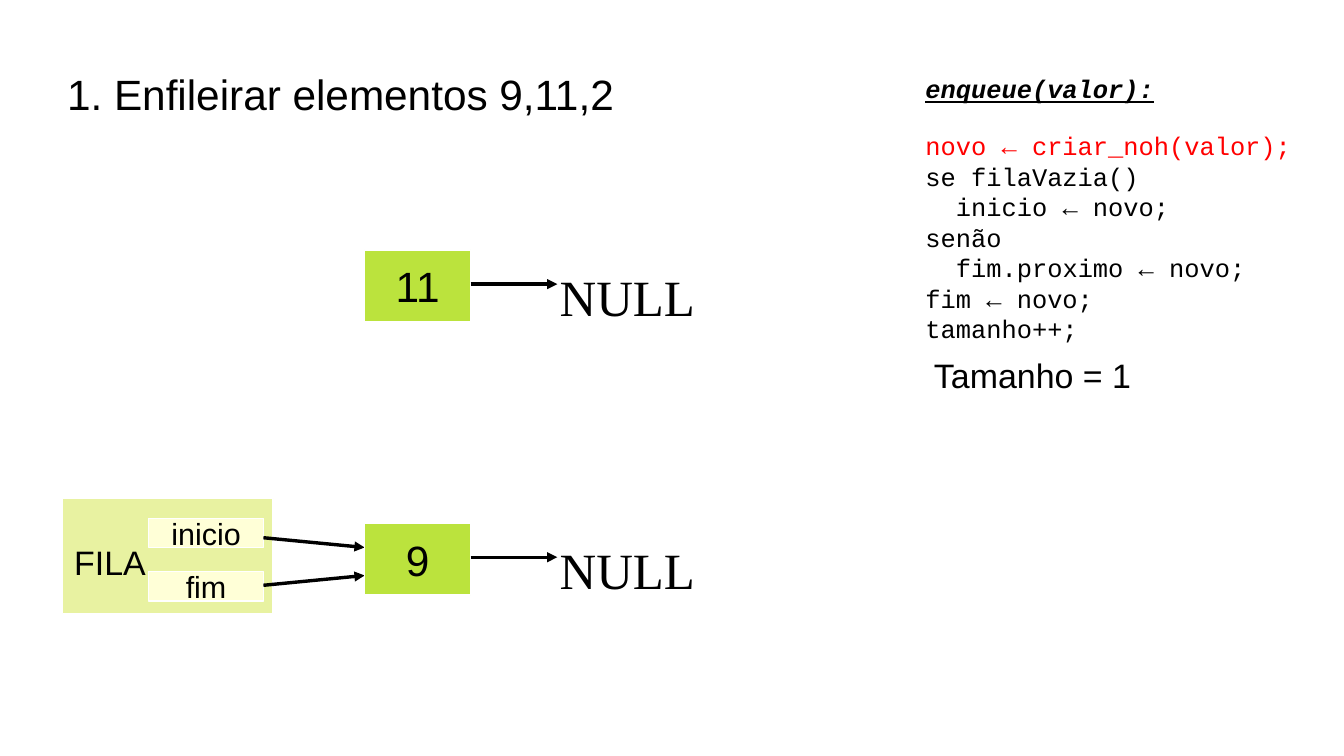
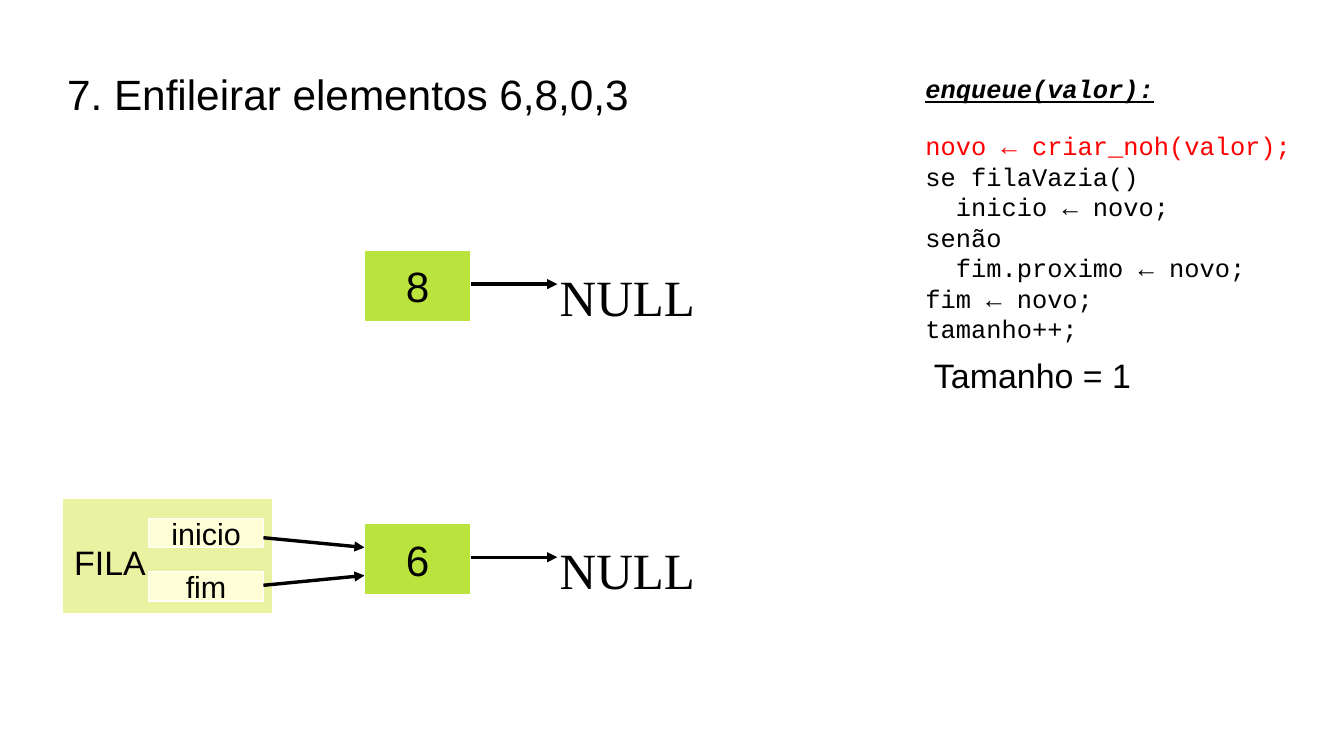
"""Builds two slides that show how values enter a linked queue."""
from dataclasses import dataclass

from lxml.etree import SubElement
from pptx import Presentation
from pptx.dml.color import RGBColor
from pptx.enum.shapes import MSO_CONNECTOR as Link, MSO_SHAPE as Preset
from pptx.enum.text import MSO_ANCHOR as Anchor, MSO_AUTO_SIZE as Fit, PP_ALIGN as Align
from pptx.oxml.ns import qn
from pptx.util import Inches, Pt

STEPS = [
    {"title": "1. Enfileirar elementos 9,11,2", "queued": "9", "new": "11"},
    {"title": "7. Enfileirar elementos 6,8,0,3", "queued": "6", "new": "8"},
]
SIZE_NOTE = "Tamanho = 1"
QUEUE_NAME = "FILA"
END_MARK = "NULL"
SIGNATURE = "enqueue(valor):"
CURRENT_LINE = "novo ← criar_noh(valor);"
CODE = [
    (0, "se filaVazia()"),
    (1, "inicio ← novo;"),
    (0, "senão"),
    (1, "fim.proximo ← novo;"),
    (0, "fim ← novo;"),
    (0, "tamanho++;"),
]
POINTERS = [
    {"name": "inicio", "top": 4.25, "leaves": 4.41, "arrives": 4.49},
    {"name": "fim", "top": 4.69, "leaves": 4.8, "arrives": 4.72},
]


@dataclass(frozen=True)
class Theme:
    """Colours, fonts and type sizes."""
    ink: str = "000000"
    accent: str = "FF0000"
    edge: str = "FFFFFF"
    queue: str = "E8F2A1"
    pointer: str = "FFFFD7"
    node: str = "BBE33D"
    sans: str = "Arial"
    mono: str = "Courier New"
    serif: str = "Times New Roman"
    title_size: int = 25
    mark_size: int = 30
    label_size: int = 20
    pointer_size: int = 18
    code_size: int = 15
    code_pitch: int = 18
    code_gap: int = 16
    code_indent: float = 0.25


THEME = Theme()
NODE_LEFT, NODE_WIDTH, NODE_HEIGHT = 2.99, 0.87, 0.59
NEW_TOP, QUEUED_TOP = 2.05, 4.29
POINTER_LEFT, POINTER_WIDTH, POINTER_HEIGHT = 1.22, 0.94, 0.24
MARK_LEFT, MARK_DROP = 4.49, 0.08
NEXT_END, NEXT_DROP = 4.57, 0.28


def write(paragraph, text, size=THEME.label_size, font=THEME.sans, color=THEME.ink,
          align=Align.LEFT, strong=False, pitch=None, after=0, indent=0):
    """Write one formatted paragraph."""
    run = paragraph.add_run()
    run.text = text
    run.font.size, run.font.name = Pt(size), font
    run.font.color.rgb = RGBColor.from_string(color)
    run.font.bold = run.font.italic = run.font.underline = strong
    paragraph.alignment, paragraph.space_after = align, Pt(after)
    if pitch:
        paragraph.line_spacing = Pt(pitch)
    if indent:
        paragraph._p.get_or_add_pPr().set("marL", str(Inches(indent)))


def add_text(slide, left, top, width, height):
    """Add a wrapping text box and return its frame."""
    frame = slide.shapes.add_textbox(*map(Inches, (left, top, width, height))).text_frame
    frame.word_wrap = True
    return frame


def add_box(slide, left, top, width, height, fill, text=None, **style):
    """Add a filled rectangle with an optional centred label."""
    box = slide.shapes.add_shape(Preset.RECTANGLE, *map(Inches, (left, top, width, height)))
    box.shadow.inherit = False
    box.fill.solid()
    box.fill.fore_color.rgb = RGBColor.from_string(fill)
    box.line.color.rgb = RGBColor.from_string(THEME.edge)
    box.line.width = Pt(0)
    if text:
        box.text_frame.word_wrap = False
        box.text_frame.vertical_anchor = Anchor.MIDDLE
        write(box.text_frame.paragraphs[0], text, align=Align.CENTER, **style)


def add_arrow(slide, x1, y1, x2, y2):
    """Add a hairline arrow."""
    arrow = slide.shapes.add_connector(Link.STRAIGHT, *map(Inches, (x1, y1, x2, y2)))
    arrow.line.color.rgb = RGBColor.from_string(THEME.ink)
    arrow.line.width = Pt(0)
    SubElement(arrow.line._get_or_add_ln(), qn("a:tailEnd"), type="triangle")
    SubElement(arrow._element.spPr, qn("a:effectLst"))


def add_title(slide, text):
    """Place and fill the title."""
    title = slide.shapes.title
    title.left, title.top, title.width, title.height = map(Inches, (0.55, 0.25, 9.92, 1.04))
    frame = title.text_frame
    frame.margin_left = frame.margin_right = frame.margin_top = frame.margin_bottom = 0
    frame.vertical_anchor, frame.auto_size = Anchor.MIDDLE, Fit.NONE
    write(frame.paragraphs[0], text, size=THEME.title_size)


def add_code(slide):
    """Add the routine with its current line highlighted."""
    style = {"size": THEME.code_size, "font": THEME.mono, "pitch": THEME.code_pitch}
    frame = add_text(slide, 7.49, 0.55, 3.26, 2.32)
    write(frame.paragraphs[0], SIGNATURE, strong=True, after=THEME.code_gap, **style)
    write(frame.add_paragraph(), CURRENT_LINE, color=THEME.accent, **style)
    for level, line in CODE:
        write(frame.add_paragraph(), line, indent=level * THEME.code_indent, **style)


def add_queue(slide):
    """Add the queue with its two pointers."""
    add_box(slide, 0.51, 4.09, 1.73, 0.94, THEME.queue)
    for pointer in POINTERS:
        add_box(slide, POINTER_LEFT, pointer["top"], POINTER_WIDTH, POINTER_HEIGHT,
                THEME.pointer, pointer["name"], size=THEME.pointer_size)
        add_arrow(slide, POINTER_LEFT + POINTER_WIDTH, pointer["leaves"],
                  NODE_LEFT, pointer["arrives"])
    write(add_text(slide, 0.51, 4.39, 0.85, 0.41).paragraphs[0], QUEUE_NAME)


def add_node(slide, value, top):
    """Add a node whose next link ends in the end mark."""
    add_box(slide, NODE_LEFT, top, NODE_WIDTH, NODE_HEIGHT, THEME.node, value,
            size=THEME.title_size)
    mark = add_text(slide, MARK_LEFT, top + MARK_DROP, 1.34, 0.52)
    write(mark.paragraphs[0], END_MARK, size=THEME.mark_size, font=THEME.serif)
    add_arrow(slide, NODE_LEFT + NODE_WIDTH, top + NEXT_DROP, NEXT_END, top + NEXT_DROP)


def build():
    """Build and save the slides."""
    deck = Presentation()
    deck.slide_width, deck.slide_height = Inches(11.02), Inches(6.2)
    title_only = deck.slide_layouts.get_by_name("Title Only")
    for step in STEPS:
        slide = deck.slides.add_slide(title_only)
        add_title(slide, step["title"])
        add_queue(slide)
        add_code(slide)
        write(add_text(slide, 7.56, 2.86, 1.89, 0.41).paragraphs[0], SIZE_NOTE)
        add_node(slide, step["queued"], QUEUED_TOP)
        add_node(slide, step["new"], NEW_TOP)
    deck.save("out.pptx")


build()
